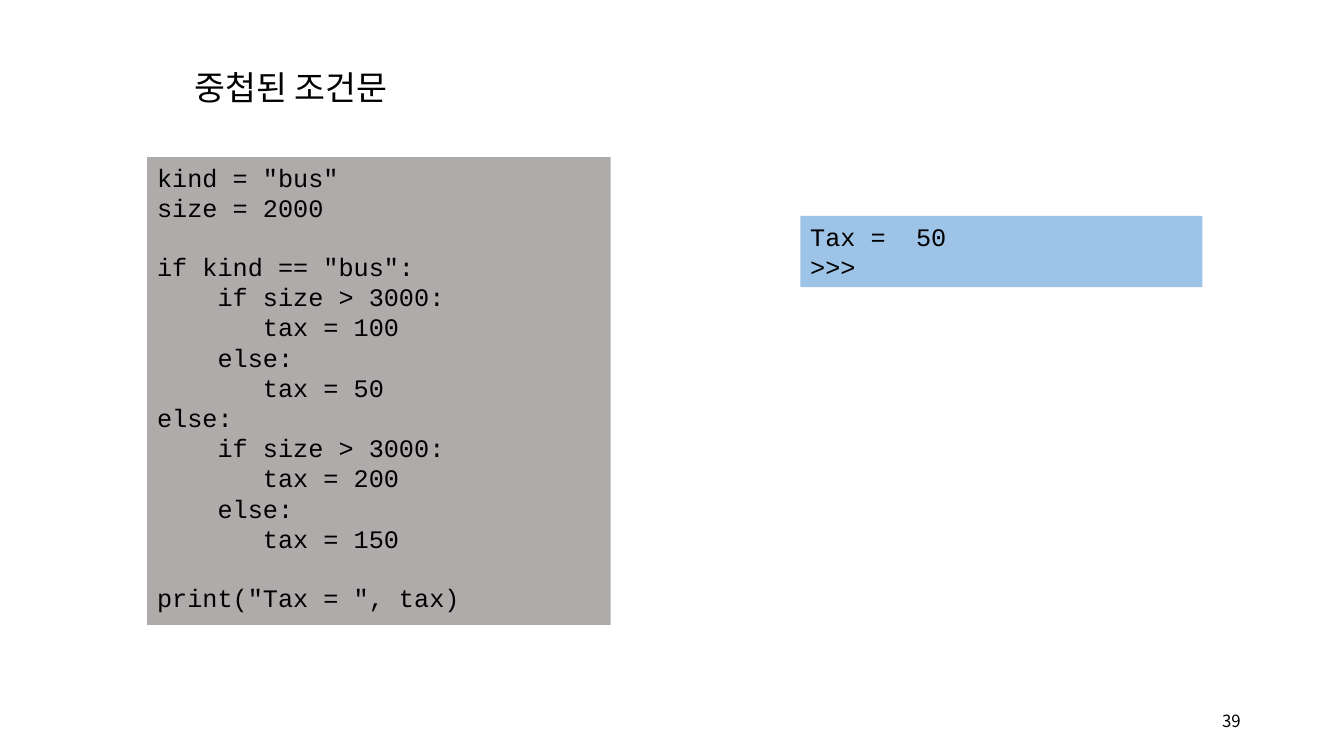
from lxml.etree import SubElement
from pptx import Presentation
from pptx.dml.color import RGBColor
from pptx.enum.shapes import MSO_SHAPE as Shape
from pptx.enum.text import MSO_ANCHOR as Anchor, MSO_AUTO_SIZE as Auto, PP_ALIGN as Align
from pptx.oxml.ns import qn
from pptx.util import Cm, Pt

HUES = {"ink": "000000", "code": "AFABAB", "shell": "9DC3E6"}
MONO, SANS, KOREAN = "Courier New", "Arial", "Noto Sans CJK KR"

CODE = """kind = "bus"
size = 2000

if kind == "bus":
    if size > 3000:
       tax = 100
    else:
       tax = 50
else:
    if size > 3000:
       tax = 200
    else:
       tax = 150

print("Tax = ", tax)"""
RESULT = """Tax =  50
>>>"""


def color(name):
    return RGBColor.from_string(HUES[name])


def add_run(para, text, size, face):
    run = para.add_run()
    run.text = text
    run.font.size = Pt(size)
    run.font.name = face
    run.font.color.rgb = color("ink")
    return run


def add_title(slide, left, top, width, height):
    title = slide.shapes.title
    title.left, title.top, title.width, title.height = map(Cm, (left, top, width, height))
    frame = title.text_frame
    frame.word_wrap = False
    frame.auto_size = Auto.SHAPE_TO_FIT_TEXT
    frame.vertical_anchor = Anchor.TOP
    para = frame.paragraphs[0]
    para.alignment = Align.LEFT
    para.line_spacing = 1.5
    para.space_before = Pt(0)
    run = add_run(para, "중첩된 조건문", 24, SANS)
    SubElement(run.font._element, qn("a:ea")).set("typeface", KOREAN)


def add_panel(slide, left, top, width, height, hue, text):
    panel = slide.shapes.add_shape(Shape.RECTANGLE, *map(Cm, (left, top, width, height)))
    panel.shadow.inherit = False
    panel.fill.solid()
    panel.fill.fore_color.rgb = color(hue)
    panel.line.fill.background()
    frame = panel.text_frame
    frame.word_wrap = True
    frame.auto_size = Auto.SHAPE_TO_FIT_TEXT
    frame.vertical_anchor = Anchor.TOP
    for part, block in enumerate(text.split("\n\n")):
        for row, line in enumerate(block.split("\n")):
            first = part == row == 0
            para = frame.paragraphs[0] if first else frame.add_paragraph()
            para.alignment = Align.LEFT
            if part and row == 0:
                para.space_before = Pt(20.4)
            add_run(para, line, 18, MONO)


def add_number(slide, left, top, width, height):
    box = slide.shapes.add_textbox(*map(Cm, (left, top, width, height)))
    frame = box.text_frame
    frame.word_wrap = True
    frame.vertical_anchor = Anchor.MIDDLE
    para = frame.paragraphs[0]
    para.alignment = Align.RIGHT
    add_run(para, "39", 12, KOREAN)


def main():
    deck = Presentation()
    deck.slide_width, deck.slide_height = Cm(33.87), Cm(19.05)
    slide = deck.slides.add_slide(deck.slide_layouts[5])
    add_number(slide, 30.3, 17.65, 1.22, 1.02)
    add_title(slide, 4.65, 1.04, 5.87, 1.8)
    add_panel(slide, 3.71, 3.96, 11.68, 11.79, "code", CODE)
    add_panel(slide, 20.17, 5.44, 10.13, 1.8, "shell", RESULT)
    deck.save("out.pptx")


if __name__ == "__main__":
    main()
